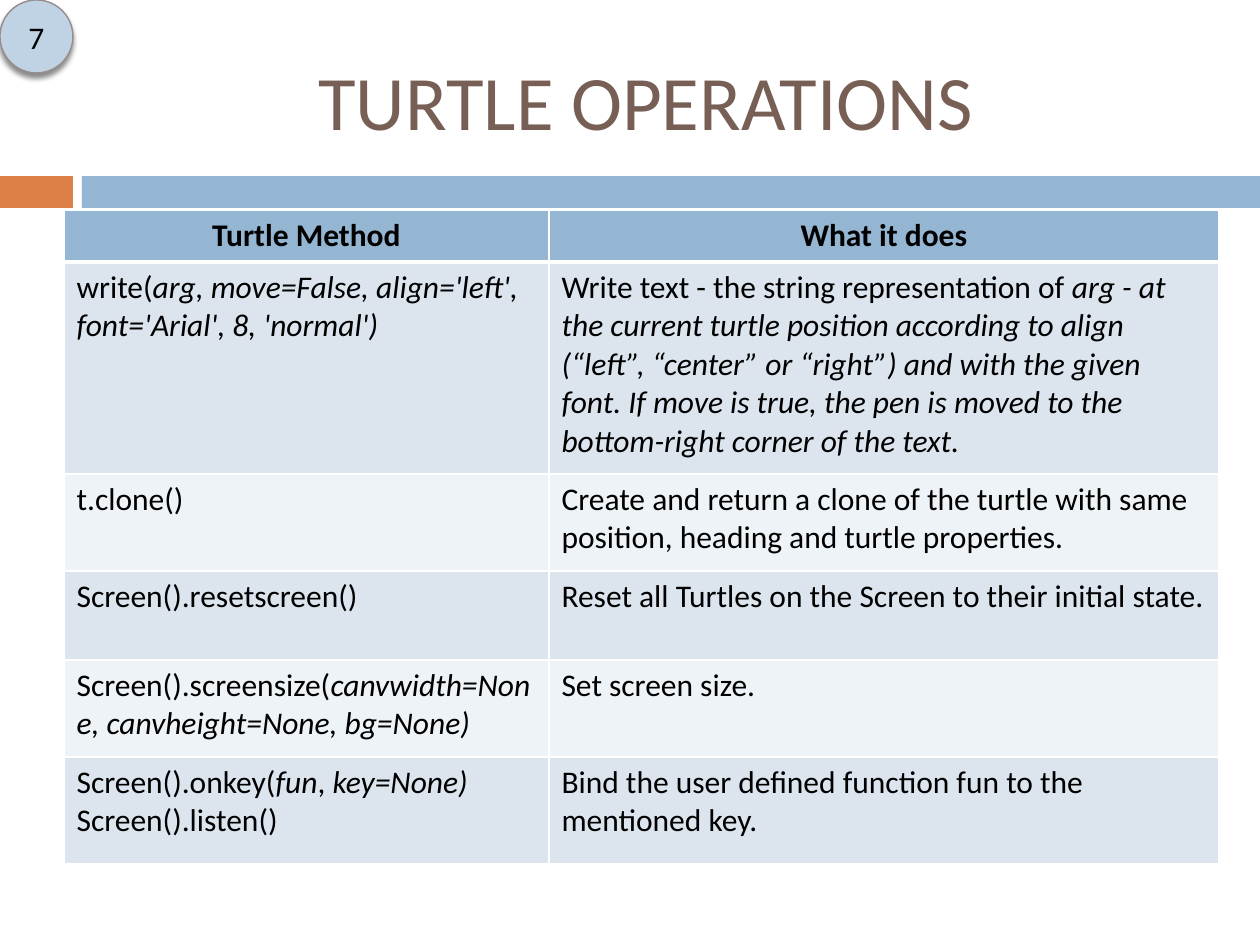
from dataclasses import dataclass
from lxml import etree
from pptx import Presentation, util as u
from pptx.dml.color import RGBColor
from pptx.enum import shapes as sh, text as tx
from pptx.oxml.ns import qn

SCALE = 914400 / 126
FONT = "Calibri"
BLACK = RGBColor(0x00, 0x00, 0x00)
WHITE = RGBColor(0xFF, 0xFF, 0xFF)
BROWN = RGBColor(0x77, 0x5F, 0x55)
ORANGE = RGBColor(0xDD, 0x80, 0x47)
BLUE = RGBColor(0x94, 0xB6, 0xD2)
PALE = RGBColor(0xBF, 0xD3, 0xE4)
GREY = RGBColor(0x96, 0x8C, 0x8C)
BANDS = (RGBColor(0xDC, 0xE5, 0xEE), RGBColor(0xEE, 0xF3, 0xF7))
MID = tx.MSO_ANCHOR.MIDDLE
RECT, OVAL = sh.MSO_SHAPE.RECTANGLE, sh.MSO_SHAPE.OVAL


@dataclass
class Box:
    """A place on the slide, in pixels."""
    x: int
    y: int
    w: int
    h: int

    def emu(self) -> list:
        """Give left, top, width and height in EMU."""
        return [px(n) for n in (self.x, self.y, self.w, self.h)]


@dataclass
class Row:
    """A table row; asterisks switch italics on and off."""
    high: int
    cells: tuple


COLS = (485, 670)
ROWS = (
    Row(52, ("Turtle Method", "What it does")),
    Row(212, ("write(*arg, move=False, align='left', font='Arial', 8, 'normal')",
              "Write text - the string representation of *arg - at the current "
              "turtle position according to align (“left”, “center” or “right”) "
              "and with the given font. If move is true, the pen is moved to "
              "the bottom-right corner of the text. ")),
    Row(97, ("t.clone()",
             "Create and return a clone of the turtle with same position, "
             "heading and turtle properties.")),
    Row(89, ("Screen().resetscreen()",
             "Reset all Turtles on the Screen to their initial state.")),
    Row(97, ("Screen().screensize(*canvwidth=None, canvheight=None, bg=None)",
             "Set screen size.")),
    Row(107, ("Screen().onkey(*fun*,\u00a0*key=None)\nScreen().listen()",
              "Bind the user defined function fun to the mentioned key.")),
)


def px(n: int) -> u.Emu:
    """Turn pixels into EMU."""
    return u.Emu(round(n * SCALE))


def put(obj, **form) -> None:
    """Set each format value on an object."""
    for name, val in form.items():
        setattr(obj, name, val)


def write(frame, text: str, size: int = 18, color=BLACK,
          bold: bool = False, mid: bool = False) -> None:
    """Fill a text frame, one paragraph a line."""
    for i, line in enumerate(text.split("\n")):
        par = frame.add_paragraph() if i else frame.paragraphs[0]
        par.alignment = tx.PP_ALIGN.CENTER if mid else tx.PP_ALIGN.LEFT
        for j, part in enumerate(line.split("*")):
            run = par.add_run()
            run.text = part
            put(run.font, name=FONT, size=u.Pt(size), bold=bold,
                italic=j % 2 == 1)
            run.font.color.rgb = color


def shape(slide, kind, box: Box, fill):
    """Add a plain filled shape without line or shadow."""
    item = slide.shapes.add_shape(kind, *box.emu())
    item.shadow.inherit = False
    item.fill.solid()
    item.fill.fore_color.rgb = fill
    item.line.fill.background()
    return item


def paint(node, color, **attrs) -> None:
    """Add a solid fill to a line node."""
    fill = etree.SubElement(node, qn("a:solidFill"))
    etree.SubElement(fill, qn("a:srgbClr"), val=str(color))


def edge(cell, top: int, low: int) -> None:
    """Draw the white borders of a cell, widths in points."""
    props = cell._tc.get_or_add_tcPr()
    sides = (("L", 1), ("R", 1), ("T", top), ("B", low))
    for i, (side, wide) in enumerate(sides):
        line = etree.Element(qn("a:ln" + side), w=str(u.Pt(wide)))
        paint(line, WHITE)
        props.insert(i, line)


def grid(slide, box: Box) -> None:
    """Add the table of turtle methods."""
    table = slide.shapes.add_table(len(ROWS), len(COLS), *box.emu()).table
    put(table, first_row=False, horz_banding=False)
    for col, wide in zip(table.columns, COLS):
        col.width = px(wide)
    for r, row in enumerate(ROWS):
        table.rows[r].height = px(row.high)
        head = r == 0
        for c, text in enumerate(row.cells):
            cell = table.cell(r, c)
            cell.fill.solid()
            cell.fill.fore_color.rgb = BLUE if head else BANDS[(r - 1) % 2]
            edge(cell, 3 if r == 1 else 1, 3 if head else 1)
            write(cell.text_frame, text, bold=head, mid=head)


def badge(slide, box: Box) -> None:
    """Add the round page number with its soft shadow."""
    disc = shape(slide, OVAL, box, PALE)
    disc.line.color.rgb = GREY
    disc.line.width = u.Pt(0.79)
    effects = disc._element.spPr.find(qn("a:effectLst"))
    glow = etree.SubElement(effects, qn("a:outerShdw"), blurRad=str(u.Pt(3)),
                            dist=str(u.Pt(2.4)), dir="5400000", rotWithShape="0")
    tint = etree.SubElement(glow, qn("a:srgbClr"), val=str(BLACK))
    etree.SubElement(tint, qn("a:alpha"), val="45000")
    put(disc.text_frame, margin_left=0, margin_right=0, margin_top=0,
        margin_bottom=0, vertical_anchor=MID)
    write(disc.text_frame, "7", mid=True)


def title(slide, box: Box) -> None:
    """Add the slide heading."""
    frame = slide.shapes.add_textbox(*box.emu()).text_frame
    put(frame, word_wrap=True, vertical_anchor=MID)
    write(frame, "TURTLE OPERATIONS", 44, BROWN, mid=True)


def main() -> None:
    """Build and save the slide."""
    deck = Presentation()
    put(deck, slide_width=px(1260), slide_height=px(945))
    slide = deck.slides.add_slide(deck.slide_layouts[6])
    shape(slide, RECT, Box(0, 176, 73, 32), ORANGE)
    shape(slide, RECT, Box(82, 176, 1178, 32), BLUE)
    title(slide, Box(84, 32, 1124, 136))
    grid(slide, Box(64, 210, sum(COLS), sum(row.high for row in ROWS)))
    badge(slide, Box(0, 0, 73, 73))
    deck.save("out.pptx")


main()
